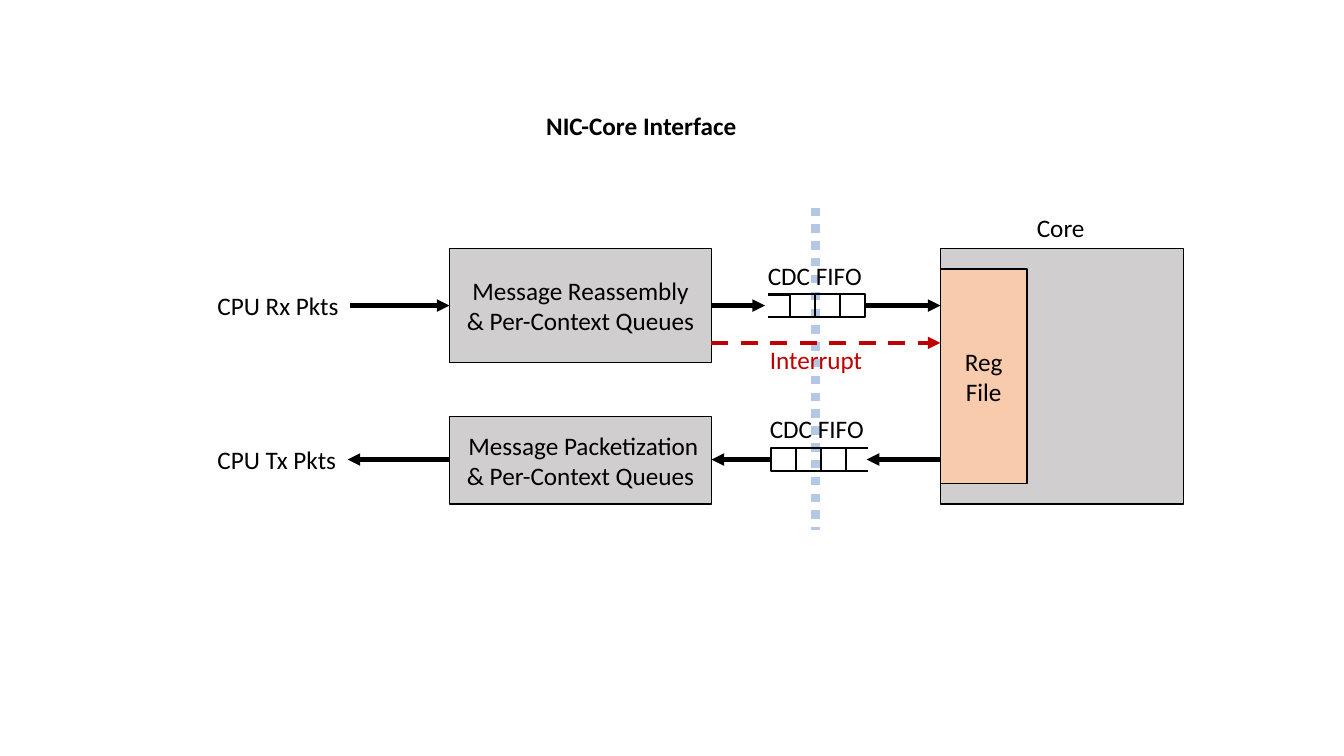
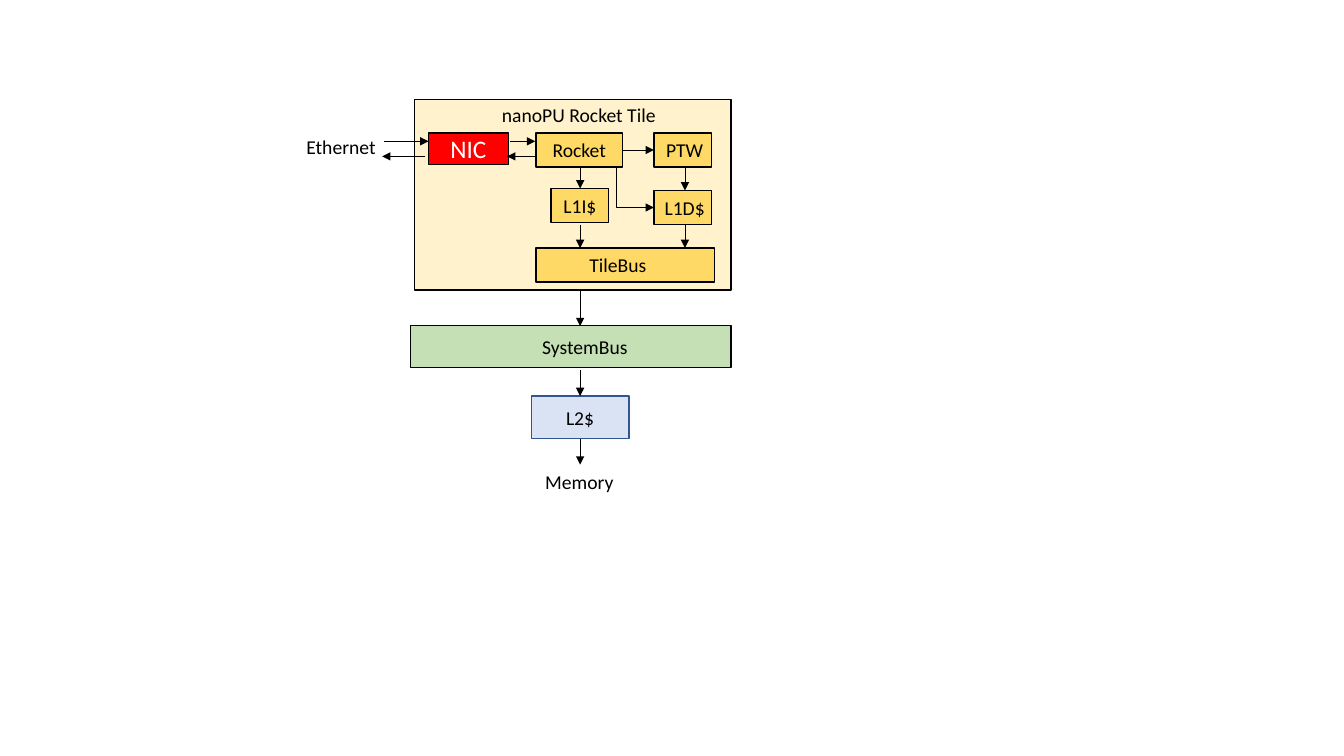
from pptx import Presentation
from pptx.dml.color import RGBColor
from pptx.enum.dml import MSO_LINE
from pptx.enum.shapes import MSO_CONNECTOR, MSO_SHAPE
from pptx.enum.text import MSO_ANCHOR, MSO_AUTO_SIZE, PP_ALIGN
from pptx.oxml.ns import qn
from pptx.util import Cm, Pt
from lxml.etree import SubElement

BLACK, WHITE, RED, CRIMSON = "000000", "FFFFFF", "FF0000", "C00000"
GREY, PEACH, CLOCK = "D0CECE", "F8CBAD", "B4C7E7"
CREAM, GOLD, GREEN, BLUE, NAVY = "FFF2CC", "FFD966", "C5E0B4", "DAE3F3", "325491"


def rgb(value):
    """Turn a hex string into a colour."""
    return RGBColor.from_string(value)


class Deck:
    """Holds the presentation, its text style and the current slide."""

    font = "Calibri"

    def __init__(self):
        """Start a widescreen presentation."""
        self.prs = Presentation()
        self.prs.slide_width, self.prs.slide_height = Cm(33.87), Cm(19.05)
        self.s = None
        self.size = 18

    def slide(self, size, layout=6):
        """Add a slide with its base text size."""
        self.s = self.prs.slides.add_slide(self.prs.slide_layouts[layout])
        self.size = size

    def add_lines(self, tf, lines, color=BLACK, bold=False, align=PP_ALIGN.LEFT, size=None):
        """Fill a text frame with one paragraph per line."""
        for i, line in enumerate(lines):
            p = tf.paragraphs[0] if i == 0 else tf.add_paragraph()
            p.alignment = align
            r = p.add_run()
            r.text = line
            r.font.name, r.font.size, r.font.bold = self.font, Pt(size or self.size), bold
            r.font.color.rgb = rgb(color)

    def title(self, text, x, y, w, h):
        """Place and fill the title placeholder."""
        sp = self.s.shapes.title
        sp.left, sp.top, sp.width, sp.height = Cm(x), Cm(y), Cm(w), Cm(h)
        tf = sp.text_frame
        tf.word_wrap, tf.auto_size = False, MSO_AUTO_SIZE.NONE
        tf.vertical_anchor = MSO_ANCHOR.TOP
        self.add_lines(tf, [text], bold=True)

    def label(self, text, x, y, w, color=BLACK):
        """Add a one-line label."""
        h = 1.02 if self.size == 18 else 0.86
        tf = self.s.shapes.add_textbox(Cm(x), Cm(y), Cm(w), Cm(h)).text_frame
        tf.word_wrap, tf.auto_size = False, MSO_AUTO_SIZE.SHAPE_TO_FIT_TEXT
        self.add_lines(tf, [text], color)

    def box(self, x, y, w, h, fill=None, lines=(), line=BLACK, weight=1,
            color=BLACK, shift=0, size=None):
        """Add a rectangle whose centred text may be shifted sideways."""
        sp = self.s.shapes.add_shape(MSO_SHAPE.RECTANGLE, Cm(x), Cm(y), Cm(w), Cm(h))
        sp.shadow.inherit = False
        if fill:
            sp.fill.solid()
            sp.fill.fore_color.rgb = rgb(fill)
        else:
            sp.fill.background()
        sp.line.color.rgb, sp.line.width = rgb(line), Pt(weight)
        tf = sp.text_frame
        tf.margin_left, tf.margin_right = Cm(max(0, 2 * shift)), Cm(max(0, -2 * shift))
        tf.margin_top = tf.margin_bottom = 0
        tf.vertical_anchor = MSO_ANCHOR.MIDDLE
        self.add_lines(tf, lines, color, align=PP_ALIGN.CENTER, size=size)
        return sp

    def line(self, x1, y1, x2, y2, weight=0.5, color=BLACK, dash=None, arrow=True, bend=None):
        """Add a straight line, or an elbow that turns at the bend fraction."""
        kind = MSO_CONNECTOR.STRAIGHT if bend is None else MSO_CONNECTOR.ELBOW
        c = self.s.shapes.add_connector(kind, Cm(x1), Cm(y1), Cm(x2), Cm(y2))
        c.line.color.rgb, c.line.width = rgb(color), Pt(weight)
        if dash:
            c.line.dash_style = dash
        spPr = c._element.spPr
        if arrow:
            SubElement(spPr.find(qn("a:ln")), qn("a:tailEnd"), type="triangle")
        SubElement(spPr, qn("a:effectLst"))
        if bend is not None:
            avLst = spPr.find(qn("a:prstGeom")).find(qn("a:avLst"))
            SubElement(avLst, qn("a:gd"), name="adj1", fmla=f"val {round(bend * 100000)}")
        return c

    def fifo(self, x, y, mouth):
        """Group three queue cells with an open end at the mouth."""
        w, h = 0.63, 0.56
        parts = [self.box(x + i * w, y, w, h, weight=1.5) for i in range(3)]
        edge = x if mouth < x else x + 3 * w
        parts += [self.line(mouth, v, edge, v, 1.5, arrow=False) for v in (y, y + h)]
        self.s.shapes.add_group_shape(parts)


def nic_core(d):
    """Draw the interface between NIC and core."""
    d.slide(18, layout=5)
    d.title("NIC-Core Interface", 13.51, 2.64, 5.38, 1.02)
    d.line(20.55, 5.23, 20.55, 13.36, 6, CLOCK, MSO_LINE.ROUND_DOT, arrow=False)
    d.box(23.7, 6.27, 6.12, 6.43, GREY)
    d.box(11.33, 6.27, 6.6, 2.87, GREY, ["Message Reassembly", "& Per-Context Queues"])
    d.box(11.33, 10.49, 6.6, 2.21, GREY, [" Message Packetization", "& Per-Context Queues"])
    d.fifo(19.92, 7.42, mouth=19.35)
    d.fifo(19.43, 11.3, mouth=21.88)
    d.line(17.93, 8.64, 23.7, 8.64, 3, CRIMSON, MSO_LINE.DASH)
    for text, x, y, w, color in (
        ("CPU Rx Pkts", 5.23, 7.19, 3.58, BLACK),
        ("CPU Tx Pkts", 5.23, 11.07, 3.53, BLACK),
        ("CDC FIFO", 19.1, 6.43, 2.9, BLACK),
        ("CDC FIFO", 19.15, 10.29, 2.9, BLACK),
        ("Interrupt", 19.15, 8.56, 2.87, CRIMSON),
        ("Core", 25.88, 5.23, 1.73, BLACK),
    ):
        d.label(text, x, y, w, color)
    rx, tx = 7.7, 11.58
    for start, end, y in ((8.81, 11.33, rx), (17.93, 19.28, rx), (21.8, 23.7, rx),
                          (23.7, 21.84, tx), (19.43, 17.93, tx), (11.33, 8.76, tx)):
        d.line(start, y, end, y, 3)
    d.box(23.7, 6.78, 2.18, 5.41, PEACH, ["Reg", "File"])


def rocket_tile(d):
    """Draw the tile and the memory path below it."""
    d.slide(14)
    d.box(10.44, 2.51, 7.98, 4.8, CREAM)
    for text, x, y, w, shift in (
        ("Rocket", 13.51, 3.35, 2.18, 0),
        ("PTW", 16.48, 3.35, 1.45, 0.05),
        ("L1I$", 13.89, 4.75, 1.45, 0),
        ("L1D$", 16.48, 4.8, 1.45, 0.05),
        ("TileBus", 13.51, 6.25, 4.5, -0.19),
    ):
        d.box(x, y, w, 0.86, GOLD, [text], shift=shift)
    d.box(10.34, 8.2, 8.08, 1.07, GREEN, ["SystemBus"], shift=0.36)
    d.box(13.39, 9.98, 2.46, 1.07, BLUE, ["L2$"], NAVY)
    d.box(10.8, 3.35, 2.01, 0.79, RED, ["NIC"], color=WHITE, size=18)
    d.label("nanoPU Rocket Tile", 12.4, 2.46, 4.42)
    d.label("Ethernet", 7.47, 3.28, 2.29)
    d.label("Memory", 13.49, 11.71, 2.26)
    cache, data = 14.62, 17.26
    for x, top, bottom in ((cache, 4.22, 4.75), (data, 4.22, 4.8), (cache, 5.66, 6.25),
                           (data, 5.66, 6.25), (cache, 7.32, 8.22), (cache, 9.32, 9.98),
                           (cache, 11.05, 11.71)):
        d.line(x, top, x, bottom)
    into, back = 3.56, 3.94
    for start, end, y in ((9.68, 10.8, into), (10.72, 9.63, back), (12.85, 13.49, into),
                          (13.51, 12.78, back), (15.7, 16.48, 3.78)):
        d.line(start, y, end, y)
    d.line(15.16, 4.22, 16.48, 5.23, bend=0.29)


deck = Deck()
nic_core(deck)
rocket_tile(deck)
deck.prs.save("out.pptx")
